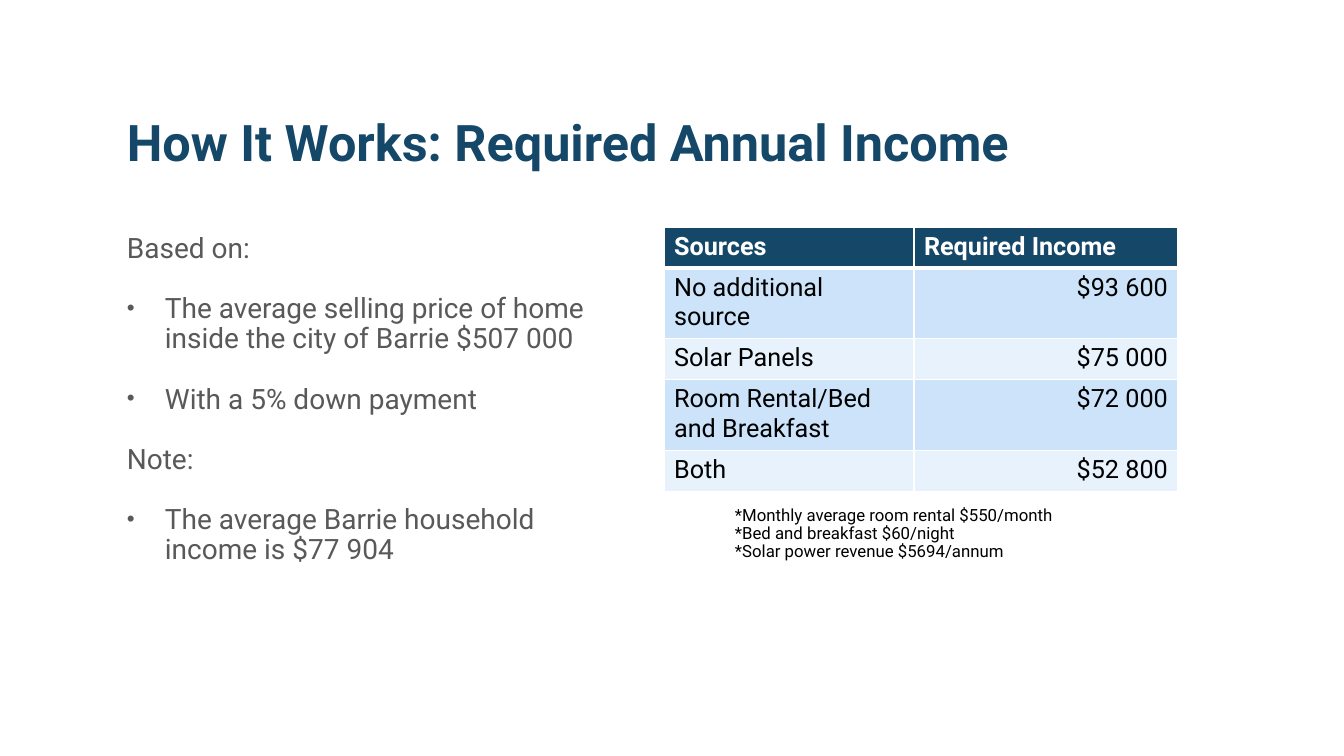
from lxml.etree import SubElement
from pptx import Presentation
from pptx.dml.color import RGBColor
from pptx.enum.text import MSO_ANCHOR, PP_ALIGN
from pptx.oxml.ns import qn
from pptx.util import Emu, Inches, Pt

PX_PER_INCH = 100.8
NAVY = RGBColor(0x14, 0x47, 0x68)
GRAY = RGBColor(0x59, 0x59, 0x59)
BLACK = RGBColor(0, 0, 0)
WHITE = RGBColor(0xFF, 0xFF, 0xFF)
BAND_DARK = RGBColor(0xCC, 0xE3, 0xF9)
BAND_LIGHT = RGBColor(0xE7, 0xF2, 0xFC)

TITLE_FONT = {"size": Pt(36), "bold": True, "color": NAVY}
BODY_FONT = {"size": Pt(20), "bold": False, "color": GRAY}
FOOTNOTE_FONT = {"size": Pt(12), "bold": False, "color": BLACK}
HEADER_FONT = {"size": Pt(18), "bold": True, "color": WHITE}
CELL_FONT = {"size": Pt(18), "bold": False, "color": BLACK}

BULLET_INDENT = 38
BASIS = [
    ("Based on:", False),
    ("The average selling price of home inside the city of Barrie $507 000", True),
    ("With a 5% down payment", True),
    ("Note:", False),
    ("The average Barrie household income is $77 904", True),
]
FOOTNOTES = [
    "*Monthly average room rental $550/month",
    "*Bed and breakfast $60/night",
    "*Solar power revenue $5694/annum",
]
INCOMES = [
    ("Sources", "Required Income"),
    ("No additional source", "$93 600"),
    ("Solar Panels", "$75 000"),
    ("Room Rental/Bed and Breakfast", "$72 000"),
    ("Both", "$52 800"),
]


def px(length):
    return Emu(round(length * Inches(1) / PX_PER_INCH))


def write(paragraph, text, font_format, **paragraph_format):
    run = paragraph.add_run()
    run.text = text
    run.font.name = "Roboto"
    for name, value in font_format.items():
        if name == "color":
            run.font.color.rgb = value
        else:
            setattr(run.font, name, value)
    for name, value in paragraph_format.items():
        setattr(paragraph, name, value)


def add_bullet(paragraph):
    properties = paragraph._p.get_or_add_pPr()
    properties.set("marL", str(px(BULLET_INDENT)))
    properties.set("indent", str(-px(BULLET_INDENT)))
    color = SubElement(properties, qn("a:buClr"))
    SubElement(color, qn("a:srgbClr"), val=str(GRAY))
    SubElement(properties, qn("a:buSzPct"), val="80000")
    SubElement(properties, qn("a:buFont"), typeface="Arial")
    SubElement(properties, qn("a:buChar"), char="•")


def add_text(slide, box, lines, font_format, anchor=MSO_ANCHOR.TOP,
             top_inset=5, line_spacing=0.9, gap=0):
    """Write (text, bulleted) lines, with a gap in points between them."""
    frame = slide.shapes.add_textbox(*map(px, box)).text_frame
    frame.word_wrap = True
    frame.vertical_anchor = anchor
    frame.margin_top = px(top_inset)
    for index, (text, bulleted) in enumerate(lines):
        paragraph = frame.add_paragraph() if index else frame.paragraphs[0]
        write(paragraph, text, font_format, line_spacing=line_spacing,
              space_before=Pt(gap if index else 0))
        if bulleted:
            add_bullet(paragraph)


def add_borders(cell, **widths):
    """Draw white cell borders, with widths in points by side."""
    properties = cell._tc.get_or_add_tcPr()
    for side in "LRTB":
        line = SubElement(properties, qn(f"a:ln{side}"), w=str(Pt(widths.get(side, 1))))
        fill = SubElement(line, qn("a:solidFill"))
        SubElement(fill, qn("a:srgbClr"), val=str(WHITE))


def fill_cell(cell, color):
    cell.fill.solid()
    cell.fill.fore_color.rgb = color


def add_income_table(slide, left, top, column_widths, row_height):
    table = slide.shapes.add_table(
        len(INCOMES), len(column_widths), px(left), px(top),
        px(sum(column_widths)), px(row_height * len(INCOMES))).table
    for column, width in zip(table.columns, column_widths):
        column.width = px(width)
    for row, values in enumerate(INCOMES):
        is_header = row == 0
        band = NAVY if is_header else (BAND_LIGHT, BAND_DARK)[row % 2]
        for column, value in enumerate(values):
            cell = table.cell(row, column)
            is_amount = column == 1 and not is_header
            write(cell.text_frame.paragraphs[0], value,
                  HEADER_FONT if is_header else CELL_FONT,
                  alignment=PP_ALIGN.RIGHT if is_amount else PP_ALIGN.LEFT)
            add_borders(cell, T=3 if row == 1 else 1, B=3 if is_header else 1)
            fill_cell(cell, band)


def main():
    presentation = Presentation()
    presentation.slide_width = px(1344)
    presentation.slide_height = px(756)
    slide = presentation.slides.add_slide(presentation.slide_layouts[6])

    add_text(slide, (117, 58, 958, 118),
             [("How It Works: Required Annual Income", False)], TITLE_FONT,
             anchor=MSO_ANCHOR.BOTTOM, line_spacing=0.8)
    add_income_table(slide, 664, 227, (250, 264), 41)
    add_text(slide, (117, 202, 491, 462), BASIS, BODY_FONT, top_inset=32, gap=21.5)
    add_text(slide, (725, 489, 348, 119), [(note, False) for note in FOOTNOTES],
             FOOTNOTE_FONT, top_inset=18)

    presentation.save("out.pptx")


if __name__ == "__main__":
    main()
